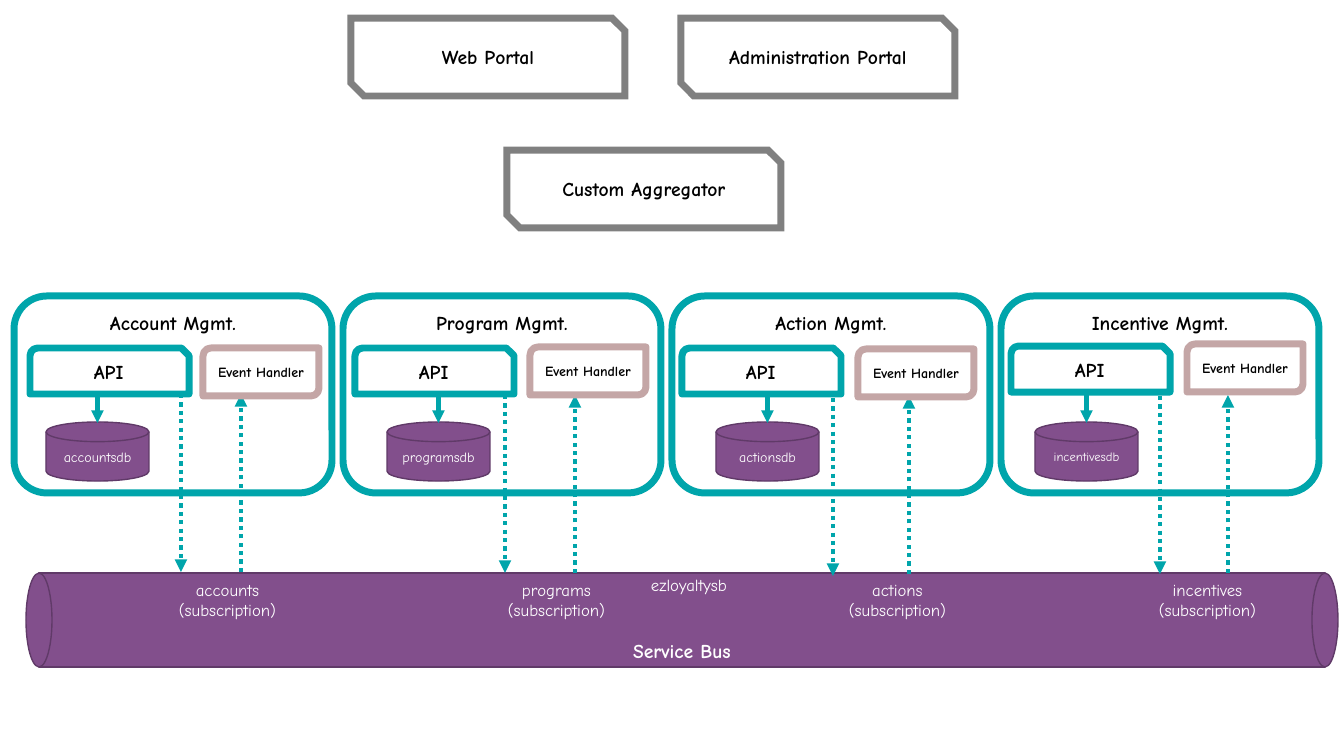
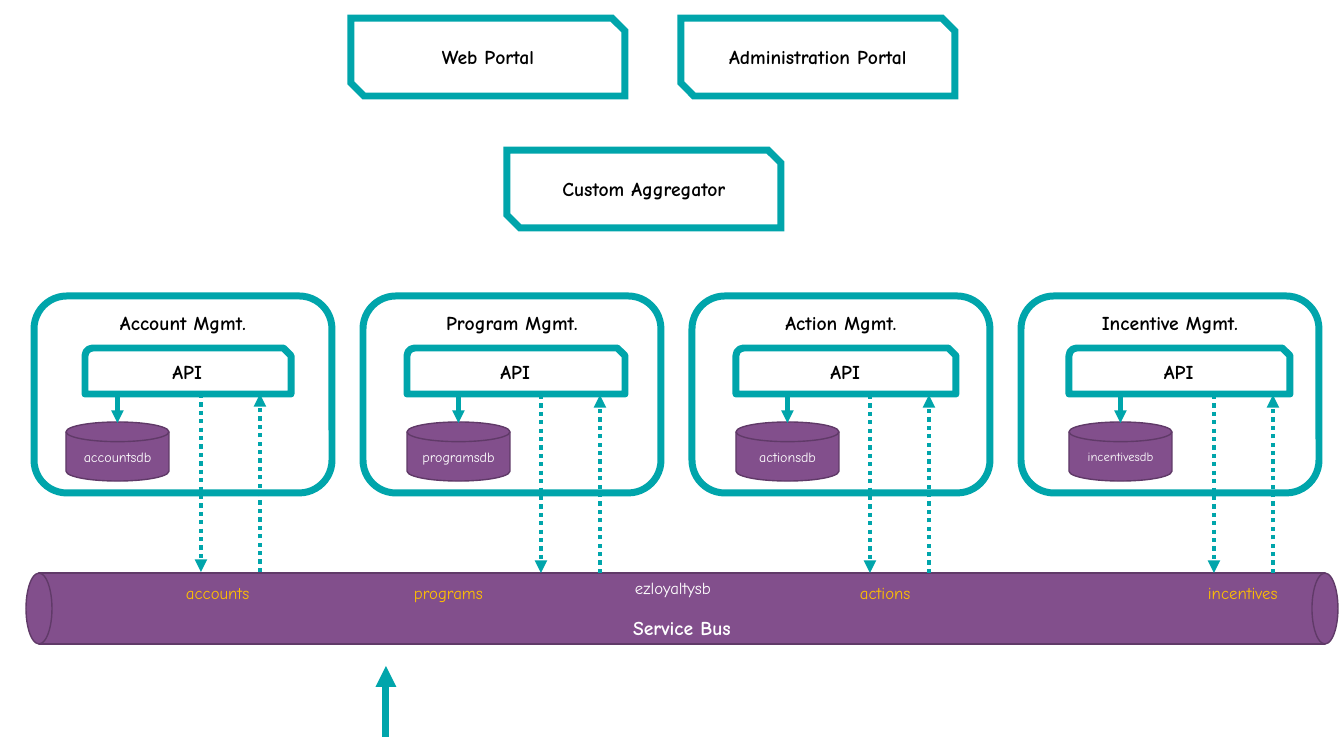
from pptx import Presentation
from pptx.dml.color import RGBColor
from pptx.enum.dml import MSO_LINE
from pptx.enum.shapes import MSO_CONNECTOR, MSO_SHAPE
from pptx.enum.text import MSO_ANCHOR, MSO_AUTO_SIZE, PP_ALIGN
from pptx.oxml.ns import qn
from pptx.util import Pt
from lxml.etree import SubElement

# Content: lengths in pixels
HUES = {"teal": "00A5AB", "plum": "824F8C", "edge": "603A68", "gray": "808080",
        "rose": "C4A6A6", "gold": "FFC000", "white": "FFFFFF", "black": "000000"}
FONT = "Comic Neue"
PORTALS = [("Administration Portal", 681, 18), ("Web Portal", 351, 18),
           ("Custom Aggregator", 507, 150)]
UNITS = [("Account Mgmt.", "accounts", 10), ("Program Mgmt.", "programs", 10),
         ("Action Mgmt.", "actions", 10), ("Incentive Mgmt.", "incentives", 9)]

# api: left, top, width; event: left, top; db: left;
# send and take: arrow x, top y; label: left, width
FIRST = {
    "portal": "gray", "panel": (14, 318), "bus": 94, "name": (641, 570),
    "label": ("white", 575, "\n(subscription)", PP_ALIGN.CENTER),
    "units": [
        {"api": (30, 348, 159), "event": (203, 348), "db": 46,
         "send": (181, 394), "take": (241, 394), "label": (161, 133)},
        {"api": (355, 348, 159), "event": (530, 347), "db": 387,
         "send": (505, 395), "take": (575, 395), "label": (490, 133)},
        {"api": (682, 348, 159), "event": (858, 349), "db": 716,
         "send": (833, 398), "take": (909, 396), "label": (831, 133)},
        {"api": (1011, 346, 159), "event": (1187, 344), "db": 1035,
         "send": (1160, 396), "take": (1228, 395), "label": (1141, 133)}],
    "extra": []}
SECOND = {
    "portal": "teal", "panel": (34, 298), "bus": 71, "name": (625, 573),
    "label": ("gold", 578, "", PP_ALIGN.LEFT),
    "units": [
        {"api": (85, 348, 206), "db": 66,
         "send": (201, 394), "take": (260, 394), "label": (176, 98)},
        {"api": (407, 348, 218), "db": 407,
         "send": (541, 395), "take": (600, 395), "label": (404, 96)},
        {"api": (736, 348, 220), "db": 736,
         "send": (870, 395), "take": (929, 395), "label": (850, 81)},
        {"api": (1069, 348, 221), "db": 1069,
         "send": (1214, 395), "take": (1273, 395), "label": (1198, 104)}],
    "extra": [(386, 737, 666)]}

PITCH = 329
BUS_TOP = 573
REACH = 178


# Helpers
def px(num):
    return round(num * 914400 / 100.8)


def hue(key):
    return RGBColor.from_string(HUES[key])


def write(shape, text, size, color, bold=False, align=PP_ALIGN.CENTER):
    frame = shape.text_frame
    frame.text = text
    for para in frame.paragraphs:
        para.alignment = align
        for run in para.runs:
            font = run.font
            font.name, font.size, font.bold = FONT, Pt(size), bold
            font.color.rgb = hue(color)


def box(home, kind, area, fill, line, width, text="", size=14, color="black",
        bold=True, anchor=MSO_ANCHOR.MIDDLE):
    shape = home.add_shape(kind, *map(px, area))
    shape.shadow.inherit = False
    if fill:
        shape.fill.solid()
        shape.fill.fore_color.rgb = hue(fill)
    else:
        shape.fill.background()
    shape.line.color.rgb = hue(line)
    shape.line.width = Pt(width)
    shape.text_frame.vertical_anchor = anchor
    if text:
        write(shape, text, size, color, bold)
    return shape


def arrow(home, x, start, end, width=3, dash=False):
    line = home.add_connector(MSO_CONNECTOR.STRAIGHT,
                              px(x), px(start), px(x), px(end))
    line.line.color.rgb = hue("teal")
    line.line.width = Pt(width)
    if dash:
        line.line.dash_style = MSO_LINE.ROUND_DOT
    SubElement(line.line._get_or_add_ln(), qn("a:tailEnd"), type="triangle")
    SubElement(line._element.spPr, qn("a:effectLst"))


def label(home, area, text, color, align=PP_ALIGN.LEFT):
    shape = home.add_textbox(*map(px, area))
    shape.text_frame.word_wrap = False
    shape.text_frame.auto_size = MSO_AUTO_SIZE.SHAPE_TO_FIT_TEXT
    write(shape, text, 12, color, align=align)


def draw(deck, plan):
    home = deck.slides.add_slide(deck.slide_layouts[6]).shapes

    # Portals and service panels
    for text, left, top in PORTALS:
        shape = box(home, MSO_SHAPE.SNIP_2_DIAG_RECTANGLE, (left, top, 274, 78),
                    "white", plan["portal"], 5, text)
        SubElement(shape.line._get_or_add_ln(), qn("a:miter"), lim="800000")
    left, width = plan["panel"]
    for i, (title, _, _) in enumerate(UNITS):
        box(home, MSO_SHAPE.ROUNDED_RECTANGLE,
            (left + i * PITCH, 296, width, 197), "white", "teal", 5, title,
            anchor=MSO_ANCHOR.TOP)

    # Service bus: body and two end caps
    high = plan["bus"]
    bus = home.add_group_shape().shapes
    box(bus, MSO_SHAPE.RECTANGLE, (39, BUS_TOP, 1286, high), "plum", "edge", 1,
        "Service Bus", color="white", anchor=MSO_ANCHOR.BOTTOM)
    for cap in (26, 1312):
        box(bus, MSO_SHAPE.OVAL, (cap, BUS_TOP, 26, high), "plum", "edge", 1)
    label(home, (*plan["name"], 109, 30), "ezloyaltysb", "white")

    # Parts of each service
    color, top, tail, align = plan["label"]
    for (_, topic, size), unit in zip(UNITS, plan["units"]):
        db = unit["db"]
        box(home, MSO_SHAPE.FLOWCHART_MAGNETIC_DISK, (db, 422, 103, 59),
            "plum", "edge", 1, topic + "db", size, "white", False)
        arrow(home, db + 51.5, 395, 423)
        x, y = unit["send"]
        arrow(home, x, y, y + REACH, dash=True)
        x, y = unit["take"]
        arrow(home, x, y + REACH, y, dash=True)
        left, width = unit["label"]
        label(home, (left, top, width, 50 if tail else 30), topic + tail,
              color, align)
        if "event" in unit:
            box(home, MSO_SHAPE.ROUND_2_DIAG_RECTANGLE,
                (*unit["event"], 116, 48), None, "rose", 5, "Event Handler", 10)
        box(home, MSO_SHAPE.SNIP_ROUND_RECTANGLE, (*unit["api"], 46),
            None, "teal", 5, "API")

    for x, start, end in plan["extra"]:
        arrow(home, x, start, end, width=5)


# Build
deck = Presentation()
deck.slide_width, deck.slide_height = px(1344), px(756)
for plan in (FIRST, SECOND):
    draw(deck, plan)
deck.save("out.pptx")
